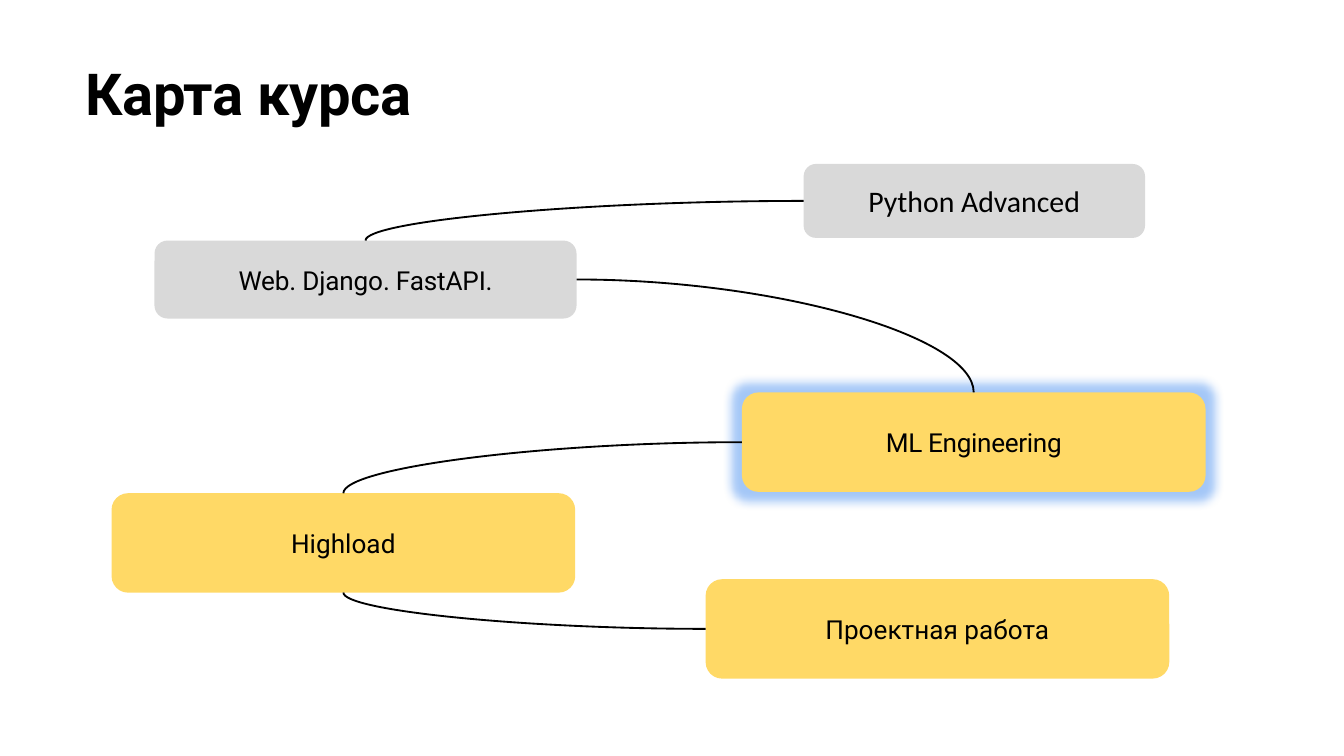
from dataclasses import dataclass

from lxml import etree
from pptx import Presentation
from pptx.dml.color import RGBColor
from pptx.enum.shapes import MSO_CONNECTOR, MSO_SHAPE
from pptx.enum.text import MSO_ANCHOR, PP_ALIGN
from pptx.oxml.ns import qn
from pptx.shapes.autoshape import Shape
from pptx.slide import Slide
from pptx.util import Inches, Pt

BLACK = RGBColor(0x00, 0x00, 0x00)
GRAY = RGBColor(0xD9, 0xD9, 0xD9)
YELLOW = RGBColor(0xFF, 0xD9, 0x66)
GLOW_BLUE = RGBColor(0x4A, 0x90, 0xF0)

TOP, LEFT, BOTTOM, RIGHT = range(4)


@dataclass(frozen=True)
class Module:
    name: str
    left: float
    top: float
    width: float = 3.45
    height: float = 0.74
    fill: RGBColor = YELLOW
    font: str = "Roboto"
    size: float = 14
    spacing: float = 0
    current: bool = False


@dataclass(frozen=True)
class Link:
    start: str
    start_side: int
    end: str
    end_side: int


PYTHON = "Python Advanced"
WEB = "Web. Django. FastAPI."
ML = "ML Engineering"
HIGHLOAD = "Highload"
PROJECT = "Проектная работа"

MODULES = [
    Module(PYTHON, 5.98, 1.22, 2.54, 0.55, GRAY, "Calibri", 16),
    Module(WEB, 1.15, 1.79, 3.14, 0.58, GRAY, spacing=-0.1),
    Module(ML, 5.52, 2.92, spacing=-0.2, current=True),
    Module(HIGHLOAD, 0.83, 3.67),
    Module(PROJECT, 5.25, 4.31),
]
LINKS = [
    Link(PYTHON, LEFT, WEB, TOP),
    Link(WEB, RIGHT, ML, TOP),
    Link(ML, LEFT, HIGHLOAD, TOP),
    Link(PROJECT, LEFT, HIGHLOAD, BOTTOM),
]


def style_span(span, font: str, size: float, spacing: float, bold: bool = False) -> None:
    span.font.name = font
    span.font.size = Pt(size)
    span.font.bold = bold
    span.font.color.rgb = BLACK
    if spacing:
        span.font._element.set("spc", str(round(spacing * 100)))


def add_title(page: Slide) -> None:
    box = page.shapes.add_textbox(Inches(0.63), Inches(0.42), Inches(6.81), Inches(0.54))
    frame = box.text_frame
    frame.word_wrap = True
    frame.margin_left = frame.margin_top = Inches(0.01)
    frame.margin_right = frame.margin_bottom = 0
    for text, spacing in (("Карта ", -0.3), ("курса", -0.1)):
        span = frame.paragraphs[0].add_run()
        span.text = text
        style_span(span, "Roboto", 31, spacing, bold=True)


def add_glow(shape: Shape) -> None:
    effects = shape._element.spPr.find(qn("a:effectLst"))
    glow = etree.SubElement(effects, qn("a:glow"), rad=str(Inches(0.15)))
    color = etree.SubElement(glow, qn("a:srgbClr"), val=str(GLOW_BLUE))
    etree.SubElement(color, qn("a:alpha"), val="50000")


def add_module(page: Slide, module: Module) -> Shape:
    shape = page.shapes.add_shape(
        MSO_SHAPE.ROUNDED_RECTANGLE,
        Inches(module.left), Inches(module.top), Inches(module.width), Inches(module.height),
    )
    shape.shadow.inherit = False
    shape.fill.solid()
    shape.fill.fore_color.rgb = module.fill
    shape.line.fill.background()
    frame = shape.text_frame
    frame.text = module.name
    frame.word_wrap = True
    frame.vertical_anchor = MSO_ANCHOR.MIDDLE
    para = frame.paragraphs[0]
    para.alignment = PP_ALIGN.CENTER
    style_span(para.runs[0], module.font, module.size, module.spacing)
    if module.current:
        add_glow(shape)
    return shape


def add_link(page: Slide, link: Link, shapes: dict[str, Shape]) -> None:
    curve = page.shapes.add_connector(MSO_CONNECTOR.CURVE, 0, 0, 0, 0)
    curve.begin_connect(shapes[link.start], link.start_side)
    curve.end_connect(shapes[link.end], link.end_side)
    curve.line.color.rgb = BLACK
    curve.line.width = Pt(1)
    properties = curve._element.spPr
    properties.find(qn("a:prstGeom")).set("prst", "curvedConnector2")
    etree.SubElement(properties, qn("a:effectLst"))


def main() -> None:
    deck = Presentation()
    deck.slide_width = Inches(10)
    deck.slide_height = deck.slide_width * 9 // 16
    page = deck.slides.add_slide(deck.slide_layouts[6])
    add_title(page)
    shapes = {module.name: add_module(page, module) for module in MODULES}
    for link in LINKS:
        add_link(page, link, shapes)
    deck.save("out.pptx")


if __name__ == "__main__":
    main()
